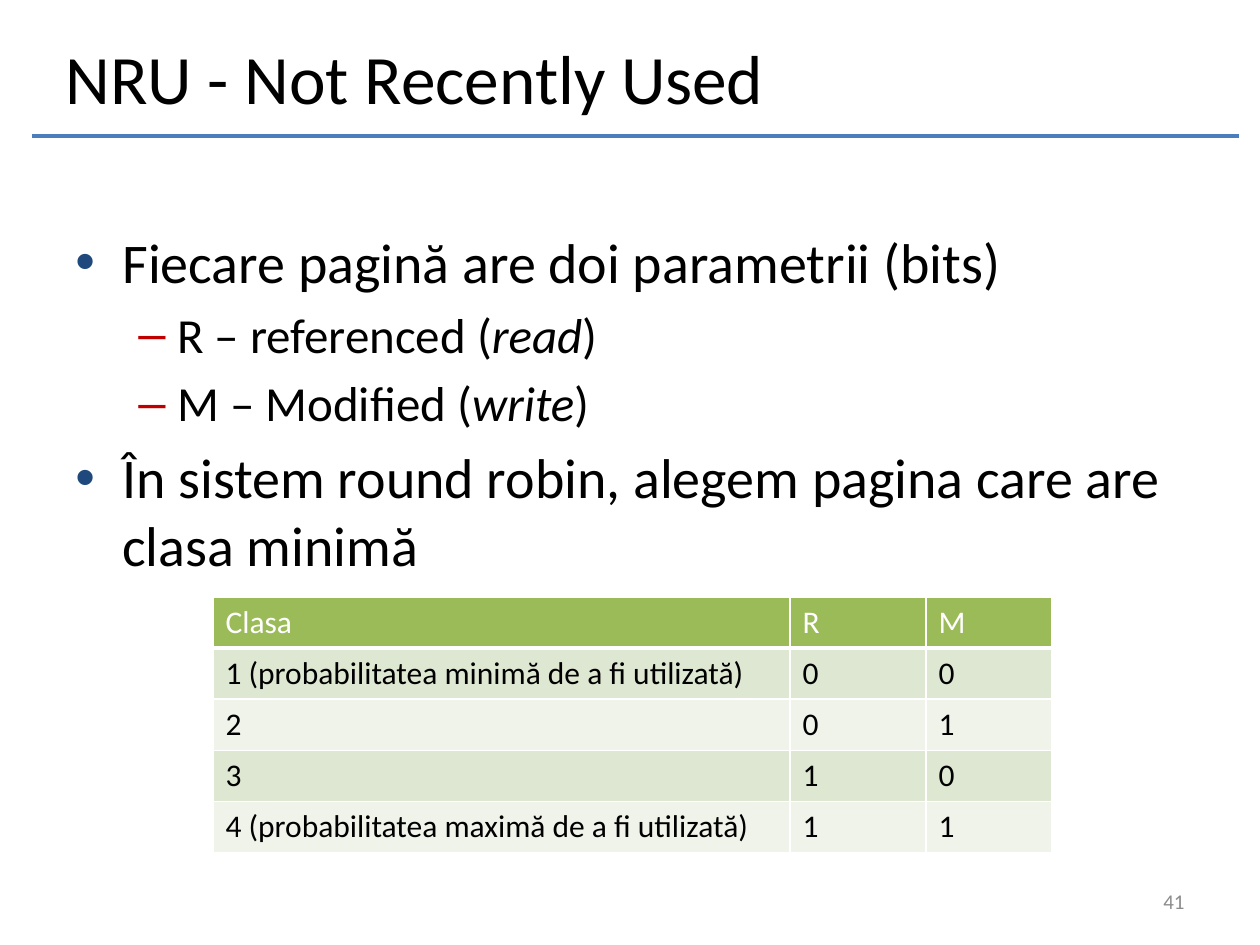
from dataclasses import dataclass

from lxml.etree import SubElement
from pptx import Presentation
from pptx.dml.color import RGBColor
from pptx.enum.shapes import MSO_CONNECTOR
from pptx.enum.text import MSO_ANCHOR, MSO_AUTO_SIZE, PP_ALIGN
from pptx.oxml import parse_xml
from pptx.oxml.ns import nsdecls, qn
from pptx.slide import Slide
from pptx.table import _Cell
from pptx.text.text import TextFrame, _Paragraph
from pptx.util import Emu, Pt

PIXELS_PER_INCH = 126
FONT = "Calibri"
BLACK = "000000"
WHITE = "FFFFFF"


@dataclass(frozen=True)
class Box:
    left: int
    top: int
    width: int
    height: int

    def lengths(self) -> tuple[Emu, ...]:
        return tuple(map(px, (self.left, self.top, self.width, self.height)))


@dataclass(frozen=True)
class Level:
    size: int
    margin: int
    hanging: int
    bullet: str
    bullet_color: str


@dataclass(frozen=True)
class Item:
    level: int
    text: str
    emphasis: str = ""
    ending: str = ""


LEVELS = [
    Level(32, 47, 47, "•", "1F497D"),
    Level(28, 102, 39, "–", "C00000"),
]
ITEMS = [
    Item(0, "Fiecare pagină are doi parametrii (bits)"),
    Item(1, "R – referenced (", "read", ")"),
    Item(1, "M – Modified (", "write", ")"),
    Item(0, "În sistem round robin, alegem pagina care are clasa minimă"),
]
CLASS_ROWS = [
    ("Clasa", "R", "M"),
    ("1 (probabilitatea minimă de a fi utilizată)", "0", "0"),
    ("2", "0", "1"),
    ("3", "1", "0"),
    ("4 (probabilitatea maximă de a fi utilizată)", "1", "1"),
]
COLUMN_WIDTHS = [577, 136, 126]
ROW_HEIGHT = 51
HEADER_FILL = "9BBB59"
BAND_FILLS = ["EFF3EA", "DEE7D1"]


def px(length: int) -> Emu:
    return Emu(round(length * 914400 / PIXELS_PER_INCH))


def color(value: str) -> RGBColor:
    return RGBColor.from_string(value)


def format_text(para: _Paragraph, size: float, value: str) -> None:
    for span in para.runs:
        span.font.name = FONT
        span.font.size = Pt(size)
        span.font.bold = False
        span.font.color.rgb = color(value)


def prepare_frame(frame: TextFrame, anchor: MSO_ANCHOR) -> None:
    frame.word_wrap = True
    frame.auto_size = MSO_AUTO_SIZE.NONE
    frame.vertical_anchor = anchor


def add_rule(page: Slide, left: int, right: int, top: int) -> None:
    rule = page.shapes.add_connector(
        MSO_CONNECTOR.STRAIGHT, px(left), px(top), px(right), px(top)
    )
    rule.line.color.rgb = color("4B7EBC")
    rule.line.width = Pt(2)
    SubElement(rule._element.spPr, qn("a:effectLst"))


def place_title(page: Slide, box: Box, text: str) -> None:
    title = page.shapes.title
    title.left, title.top, title.width, title.height = box.lengths()
    prepare_frame(title.text_frame, MSO_ANCHOR.MIDDLE)
    title.text_frame.text = text
    para = title.text_frame.paragraphs[0]
    para.alignment = PP_ALIGN.LEFT
    format_text(para, 39.6, BLACK)


def set_bullet(para: _Paragraph, level: Level) -> None:
    properties = para._p.get_or_add_pPr()
    properties.set("marL", str(px(level.margin)))
    properties.set("indent", str(-px(level.hanging)))
    bullet_color = SubElement(properties, qn("a:buClr"))
    SubElement(bullet_color, qn("a:srgbClr"), val=level.bullet_color)
    SubElement(properties, qn("a:buFont"), typeface="Arial")
    SubElement(properties, qn("a:buChar"), char=level.bullet)


def add_list(page: Slide, box: Box, items: list[Item]) -> None:
    frame = page.shapes.add_textbox(*box.lengths()).text_frame
    prepare_frame(frame, MSO_ANCHOR.TOP)
    for index, item in enumerate(items):
        para = frame.add_paragraph() if index else frame.paragraphs[0]
        level = LEVELS[item.level]
        para.level = item.level
        set_bullet(para, level)
        if index:
            para.space_before = Pt(level.size * 0.2)
        for text in filter(None, (item.text, item.emphasis, item.ending)):
            span = para.add_run()
            span.text = text
            span.font.italic = text == item.emphasis
        format_text(para, level.size, BLACK)


def set_borders(cell: _Cell, bottom_width: int) -> None:
    properties = cell._tc.get_or_add_tcPr()
    widths = {"lnL": 1, "lnR": 1, "lnT": 1, "lnB": bottom_width}
    for index, (side, width) in enumerate(widths.items()):
        border = parse_xml(
            f'<a:{side} {nsdecls("a")} w="{Pt(width)}"><a:solidFill>'
            f'<a:srgbClr val="{WHITE}"/></a:solidFill></a:{side}>'
        )
        properties.insert(index, border)


def add_class_table(page: Slide, left: int, top: int) -> None:
    box = Box(left, top, sum(COLUMN_WIDTHS), ROW_HEIGHT * len(CLASS_ROWS))
    table = page.shapes.add_table(
        len(CLASS_ROWS), len(COLUMN_WIDTHS), *box.lengths()
    ).table
    for column, width in zip(table.columns, COLUMN_WIDTHS):
        column.width = px(width)
    for row_index, texts in enumerate(CLASS_ROWS):
        table.rows[row_index].height = px(ROW_HEIGHT)
        is_header = row_index == 0
        fill = HEADER_FILL if is_header else BAND_FILLS[row_index % 2]
        for column_index, text in enumerate(texts):
            cell = table.cell(row_index, column_index)
            cell.text_frame.text = text
            cell.fill.solid()
            cell.fill.fore_color.rgb = color(fill)
            set_borders(cell, 3 if is_header else 1)
            format_text(
                cell.text_frame.paragraphs[0], 18, WHITE if is_header else BLACK
            )


def add_page_number(page: Slide, box: Box, number: str) -> None:
    frame = page.shapes.add_textbox(*box.lengths()).text_frame
    prepare_frame(frame, MSO_ANCHOR.MIDDLE)
    frame.text = number
    frame.paragraphs[0].alignment = PP_ALIGN.RIGHT
    format_text(frame.paragraphs[0], 12, "8C8C8C")


def main() -> None:
    deck = Presentation()
    deck.slide_width, deck.slide_height = px(1260), px(945)
    page = deck.slides.add_slide(deck.slide_layouts.get_by_name("Title Only"))
    add_rule(page, 32, 1239, 136)
    place_title(page, Box(53, 38, 987, 78), "NRU - Not Recently Used")
    add_list(page, Box(63, 221, 1134, 624), ITEMS)
    add_page_number(page, Box(903, 876, 294, 50), "41")
    add_class_table(page, 213, 597)
    deck.save("out.pptx")


if __name__ == "__main__":
    main()
